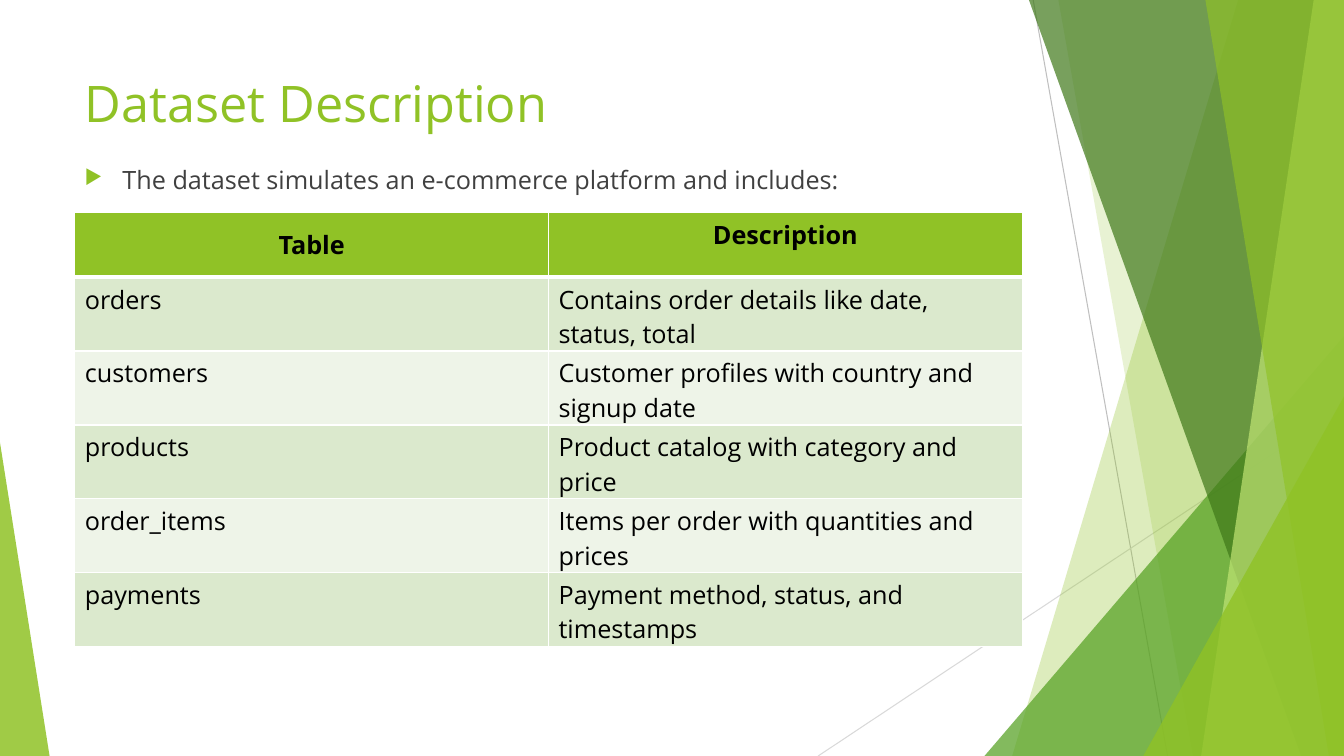
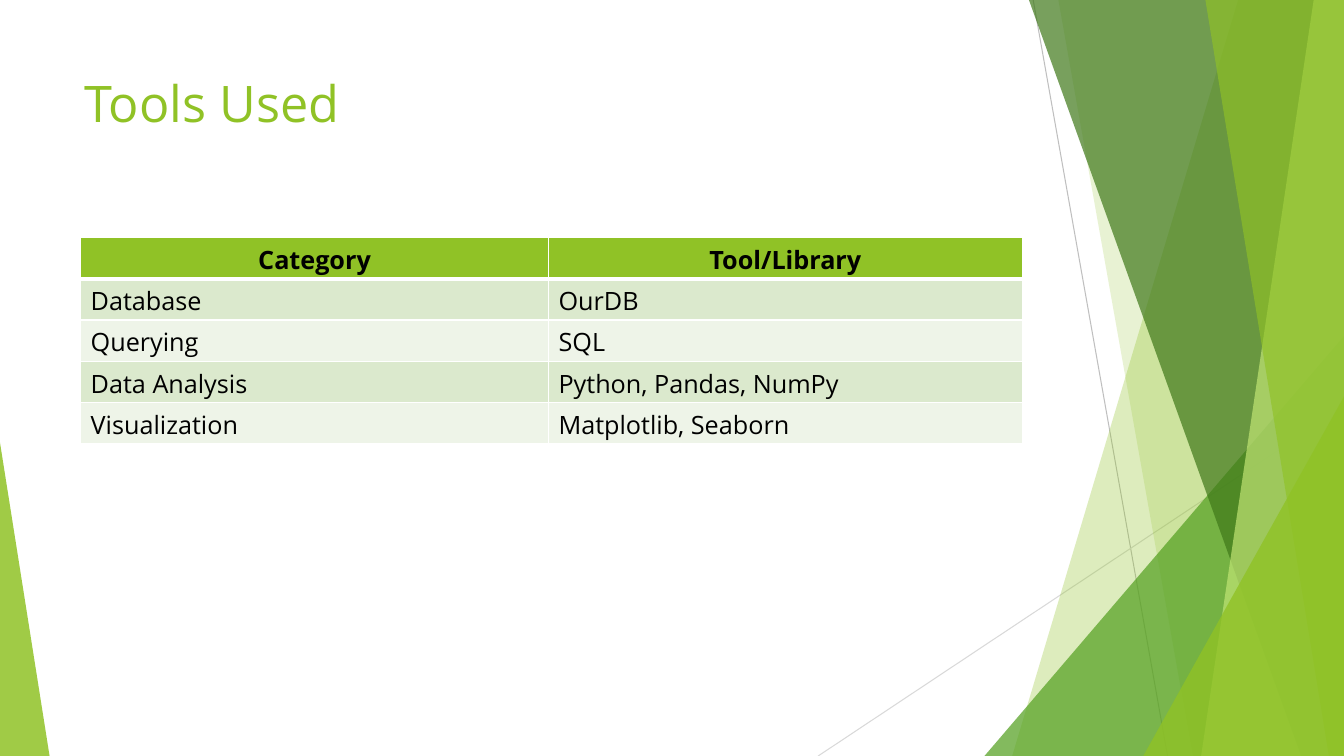
from lxml import etree
from pptx import Presentation
from pptx.dml.color import RGBColor
from pptx.enum.shapes import MSO_CONNECTOR, MSO_SHAPE
from pptx.enum.text import MSO_ANCHOR, PP_ALIGN
from pptx.oxml.ns import qn
from pptx.util import Emu, Pt

STRAIGHT = MSO_CONNECTOR.STRAIGHT
TRIANGLE = MSO_SHAPE.ISOSCELES_TRIANGLE
MIDDLE, TOP = MSO_ANCHOR.MIDDLE, MSO_ANCHOR.TOP
CENTER, LEFT = PP_ALIGN.CENTER, PP_ALIGN.LEFT

COLS, ROWS = 160, 90
CELL = 76200  # one grid cell, a twelfth of an inch
MARGIN, CONTENT_W = 8.9, 112.8

FONT = "Open Sans"
LIME, GREEN, FOREST, PALE = "90C226", "54A021", "3F7819", "C0E474"
WHITE, BLACK, BODY = "FFFFFF", "000000", "404040"
BANDS = "DBE9CD", "EEF4E8"


def rgb(value):
    return RGBColor.from_string(value)


def grid(*cells):
    """Turn grid cells into slide lengths."""
    return [Emu(round(c * CELL)) for c in cells]


def add_xml(parent, tag, **attrs):
    return etree.SubElement(parent, qn(tag), attrs)


class Deck:
    """Holds the style and the slide being built."""

    def __init__(self):
        self.prs = Presentation()
        self.prs.slide_width, self.prs.slide_height = grid(COLS, ROWS)
        self.shapes = None

    def slide(self, title):
        s = self.prs.slides.add_slide(self.prs.slide_layouts[6])
        self.shapes = s.shapes
        self.backdrop()
        self.text(title, 8, 17.3, 36, LIME)

    def backdrop(self):
        self.line(123, 0, 139, ROWS, "BFBFBF")
        self.line(COLS, 48.4, 97.4, ROWS, "D9D9D9")
        self.shard(147.4, 120.5, LIME, 30)
        self.shard(126, 142, LIME, 20)
        self.triangle(117.2, 40, COLS, 1, GREEN, 72)
        self.shard(122.5, 154.9, FOREST, 70)
        self.shard(156.4, 143, PALE, 70)
        self.shard(143.5, 158.2, LIME, 65)
        self.triangle(136.1, 47.2, COLS, 1, LIME, 80)
        self.triangle(0, 52.7, 5.9, 0, LIME, 85)

    def line(self, x1, y1, x2, y2, color):
        sp = self.shapes.add_connector(STRAIGHT, *grid(x1, y1, x2, y2))
        sp.line.color.rgb = rgb(color)
        sp.line.width = Pt(0.75)
        add_xml(sp._element.spPr, "a:effectLst")

    def shard(self, top_x, foot_x, color, opacity):
        """Fill from a slanted edge to the right side of the slide."""
        outline = self.shapes.build_freeform(*grid(top_x, 0), scale=1.0)
        corners = (COLS, 0), (COLS, ROWS), (foot_x, ROWS)
        outline.add_line_segments([grid(*c) for c in corners], close=True)
        self.paint(outline.convert_to_shape(), color, opacity)

    def triangle(self, left, top, right, apex, color, opacity):
        """Stand a triangle on the slide's foot, its apex a share of its width."""
        box = grid(left, top, right - left, ROWS - top)
        sp = self.shapes.add_shape(TRIANGLE, *box)
        sp.adjustments[0] = apex
        self.paint(sp, color, opacity)

    def paint(self, sp, color, opacity):
        sp.shadow.inherit = False
        sp.line.fill.background()
        sp.fill.solid()
        sp.fill.fore_color.rgb = rgb(color)
        clr = sp._element.spPr.find(qn("a:solidFill"))[0]
        add_xml(clr, "a:alpha", val=str(opacity * 1000))

    def style(self, p, size, color, bold=False, align=LEFT):
        p.alignment = align
        p.font.name, p.font.size, p.font.bold = FONT, Pt(size), bold
        p.font.color.rgb = rgb(color)

    def text(self, words, top, height, size, color, bullet=False):
        sp = self.shapes.add_textbox(*grid(MARGIN, top, CONTENT_W, height))
        tf = sp.text_frame
        tf.word_wrap = True
        p = tf.paragraphs[0]
        p.text = words
        if bullet:
            self.bullet(p)
        self.style(p, size, color)

    def bullet(self, p):
        pPr = p._p.get_or_add_pPr()
        indent = Pt(27)
        pPr.set("marL", str(indent))
        pPr.set("indent", str(-indent))
        add_xml(add_xml(pPr, "a:buClr"), "a:srgbClr", val=LIME)
        add_xml(pPr, "a:buSzPct", val="80000")
        add_xml(pPr, "a:buChar", char="▶")

    def table(self, left, top, widths, head_h, row_h, rows):
        heights = [head_h] + [row_h] * (len(rows) - 1)
        box = grid(left, top, sum(widths), sum(heights))
        table = self.shapes.add_table(len(rows), len(widths), *box).table
        for column, width in zip(table.columns, grid(*widths)):
            column.width = width
        for row, height in zip(table.rows, grid(*heights)):
            row.height = height
        for i, row in enumerate(rows):
            for j, words in enumerate(row):
                self.cell(table.cell(i, j), words, i, j)

    def cell(self, cell, words, i, j):
        head = i == 0
        cell.text = words
        cell.vertical_anchor = MIDDLE if head and j == 0 else TOP
        self.style(cell.text_frame.paragraphs[0], 18, BLACK, head,
                   CENTER if head else LEFT)
        self.borders(cell, top=3 if i == 1 else 1, bottom=3 if head else 1)
        cell.fill.solid()
        cell.fill.fore_color.rgb = rgb(LIME if head else BANDS[(i - 1) % 2])

    def borders(self, cell, top, bottom):
        tcPr = cell._tc.get_or_add_tcPr()
        for side, width in zip("LRTB", (1, 1, top, bottom)):
            ln = add_xml(tcPr, f"a:ln{side}", w=str(Pt(width)))
            add_xml(add_xml(ln, "a:solidFill"), "a:srgbClr", val=WHITE)


def main():
    deck = Deck()

    deck.slide("Dataset Description")
    deck.text("The dataset simulates an e-commerce platform and includes:",
              19, 60.4, 18, BODY, bullet=True)
    deck.table(MARGIN, 25.3, (56.4, 56.4), 7.7, 8.8, [
        ("Table", "Description"),
        ("orders", "Contains order details like date, status, total"),
        ("customers", "Customer profiles with country and signup date"),
        ("products", "Product catalog with category and price"),
        ("order_items", "Items per order with quantities and prices"),
        ("payments", "Payment method, status, and timestamps"),
    ])

    deck.slide("Tools Used")
    deck.table(9.6, 28.3, (55.7, 56.4), 4.9, 4.9, [
        ("Category", "Tool/Library"),
        ("Database", "OurDB"),
        ("Querying", "SQL"),
        ("Data Analysis", "Python, Pandas, NumPy"),
        ("Visualization", "Matplotlib, Seaborn"),
    ])

    deck.prs.save("out.pptx")


if __name__ == "__main__":
    main()
